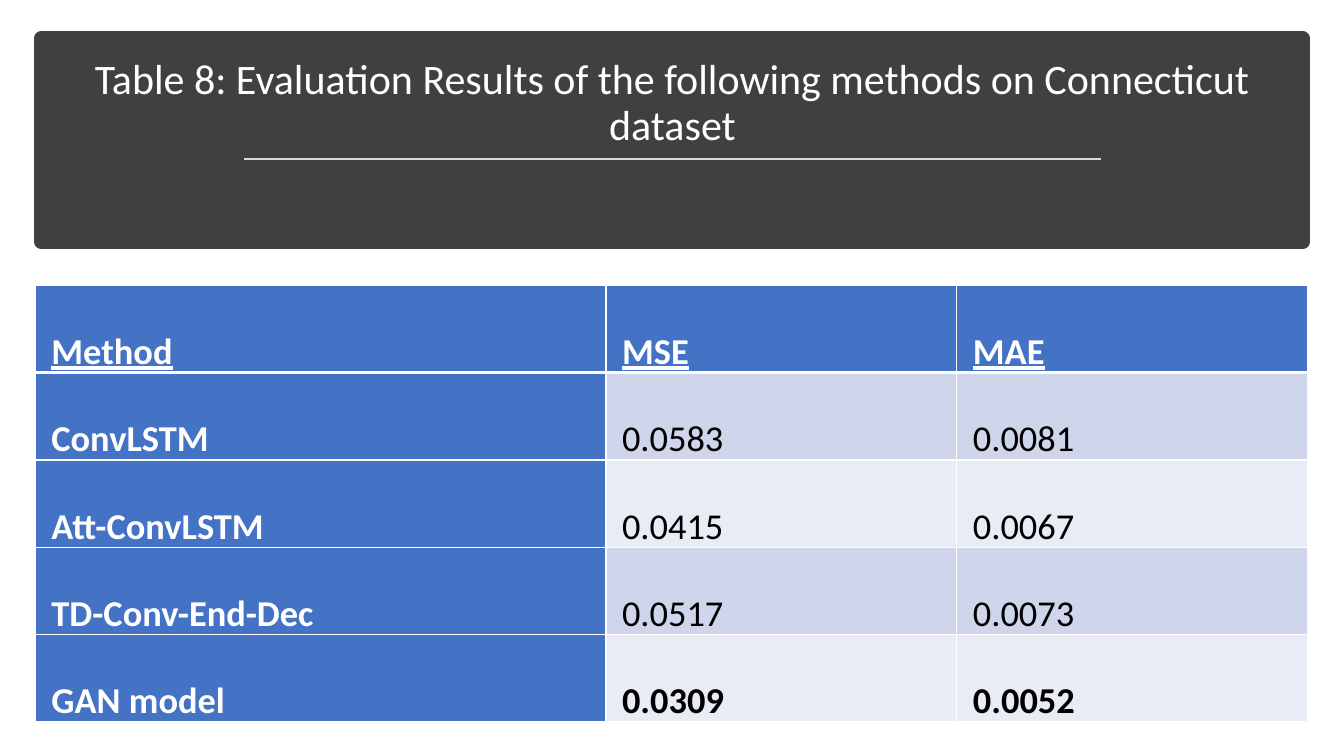
from lxml import etree
from pptx import Presentation
from pptx.dml.color import RGBColor
from pptx.enum.shapes import MSO_CONNECTOR, MSO_SHAPE
from pptx.enum.text import MSO_ANCHOR, PP_ALIGN
from pptx.oxml.ns import qn
from pptx.util import Pt

RECTANGLE = MSO_SHAPE.RECTANGLE
STRAIGHT = MSO_CONNECTOR.STRAIGHT
BOTTOM = MSO_ANCHOR.BOTTOM
TOP = MSO_ANCHOR.TOP
CENTER = PP_ALIGN.CENTER
JUSTIFY = PP_ALIGN.JUSTIFY

PX = 9144  # 100 px to the inch
FONT = "Calibri"
COLORS = {
    "banner": "404040",
    "rule": "D9D9D9",
    "white": "FFFFFF",
    "black": "000000",
    "accent": "4472C4",
    "odd_band": "CFD5EA",
    "even_band": "E9EBF5",
}
TITLE = "Table 8: Evaluation Results of the following methods on Connecticut dataset"
RESULTS = [
    ["Method", "MSE", "MAE"],
    ["ConvLSTM", "0.0583", "0.0081"],
    ["Att-ConvLSTM", "0.0415", "0.0067"],
    ["TD-Conv-End-Dec", "0.0517", "0.0073"],
    ["GAN model", "0.0309", "0.0052"],
]
COLUMN_WIDTHS = [566, 348, 348]


def px(*lengths):
    return [length * PX for length in lengths]


def rgb(name):
    return RGBColor.from_string(COLORS[name])


def write(para, text, size, color, bold=False, underline=False):
    span = para.add_run()
    span.text = text
    font = span.font
    font.name = FONT
    font.size = Pt(size)
    font.bold = bold
    font.underline = underline
    font.color.rgb = rgb(color)


def set_borders(cell, bottom_width):
    """Draw white lines on all four sides of a cell."""
    properties = cell._tc.get_or_add_tcPr()
    widths = {"a:lnL": 1, "a:lnR": 1, "a:lnT": 1, "a:lnB": bottom_width}
    for position, (tag, width) in enumerate(widths.items()):
        line = etree.Element(qn(tag), w=str(Pt(width)))
        fill = etree.SubElement(line, qn("a:solidFill"))
        etree.SubElement(fill, qn("a:srgbClr"), val=COLORS["white"])
        properties.insert(position, line)


def add_banner(page, left, top, width, height):
    """Place the dark band with its title and the rule below the title."""
    band = page.shapes.add_shape(RECTANGLE, *px(left, top, width, height))
    band.shadow.inherit = False
    band.fill.solid()
    band.fill.fore_color.rgb = rgb("banner")
    band.line.color.rgb = rgb("banner")
    band.line.width = Pt(10)

    box = page.shapes.add_textbox(*px(left + 17, top + 13, width - 33, 102))
    frame = box.text_frame
    frame.word_wrap = True
    frame.vertical_anchor = BOTTOM
    para = frame.paragraphs[0]
    para.alignment = CENTER
    para.line_spacing = 0.9
    write(para, TITLE, 30, "white")

    rule_left, rule_top = left + 201, top + 120
    rule = page.shapes.add_connector(
        STRAIGHT, *px(rule_left, rule_top, rule_left + 850, rule_top))
    rule.line.color.rgb = rgb("rule")
    rule.line.width = Pt(1.75)
    etree.SubElement(rule._element.spPr, qn("a:effectLst"))


def fill_cell(cell, text, row, column):
    header = row == 0
    accented = header or column == 0
    best = row == len(RESULTS) - 1
    band = "odd_band" if row % 2 else "even_band"
    cell.margin_left = cell.margin_right = 16 * PX
    cell.margin_top = cell.margin_bottom = 0
    cell.vertical_anchor = TOP
    cell.fill.solid()
    cell.fill.fore_color.rgb = rgb("accent" if accented else band)
    set_borders(cell, 3 if header else 1)
    para = cell.text_frame.paragraphs[0]
    para.alignment = JUSTIFY
    para.line_spacing = 2.0
    write(para, text, 26, "white" if accented else "black",
          bold=accented or best, underline=header)


def add_results(page, left, top, row_height):
    frame = page.shapes.add_table(
        len(RESULTS), len(COLUMN_WIDTHS),
        *px(left, top, sum(COLUMN_WIDTHS), row_height * len(RESULTS)))
    table = frame.table
    for column, width in zip(table.columns, COLUMN_WIDTHS):
        column.width = width * PX
    for row, texts in enumerate(RESULTS):
        table.rows[row].height = row_height * PX
        for column, text in enumerate(texts):
            fill_cell(table.cell(row, column), text, row, column)


def main():
    deck = Presentation()
    deck.slide_width, deck.slide_height = px(1333, 750)
    page = deck.slides.add_slide(deck.slide_layouts[6])
    add_banner(page, 41, 38, 1251, 202)
    add_results(page, 35, 283, 84)
    deck.save("out.pptx")


if __name__ == "__main__":
    main()
